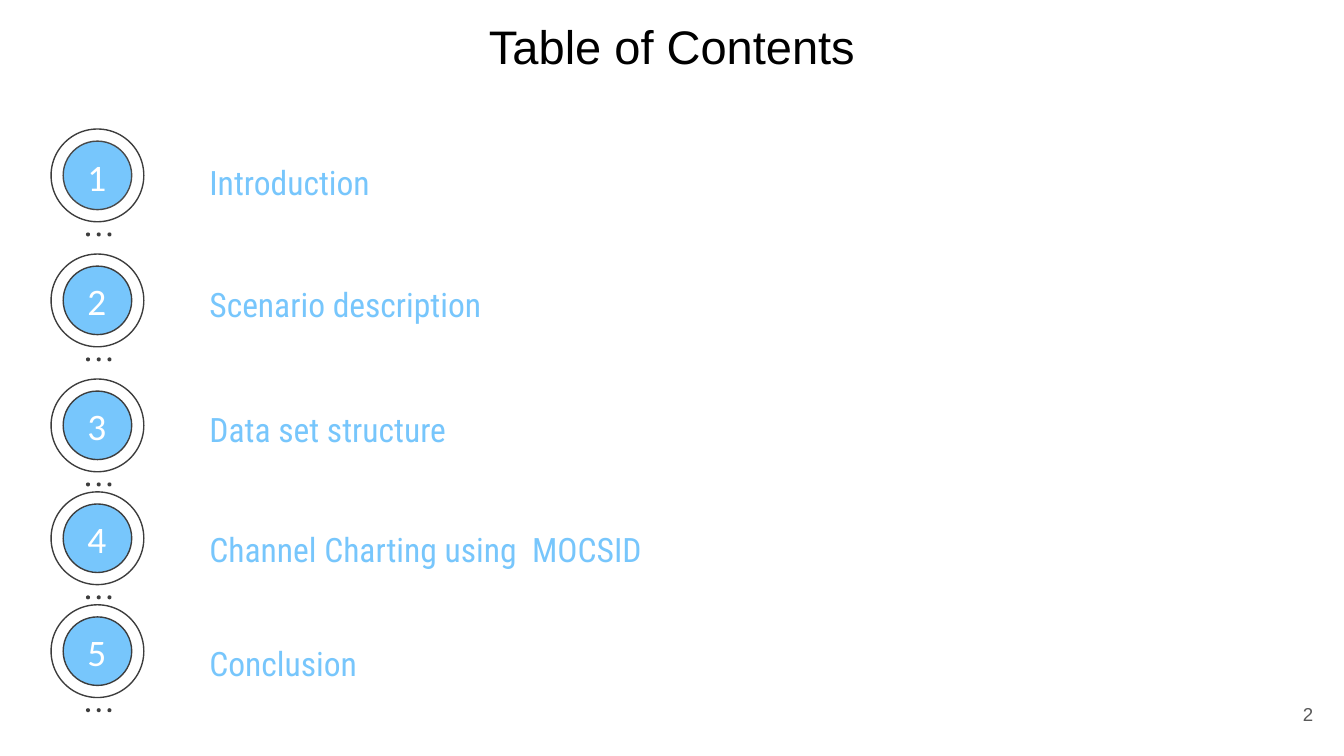
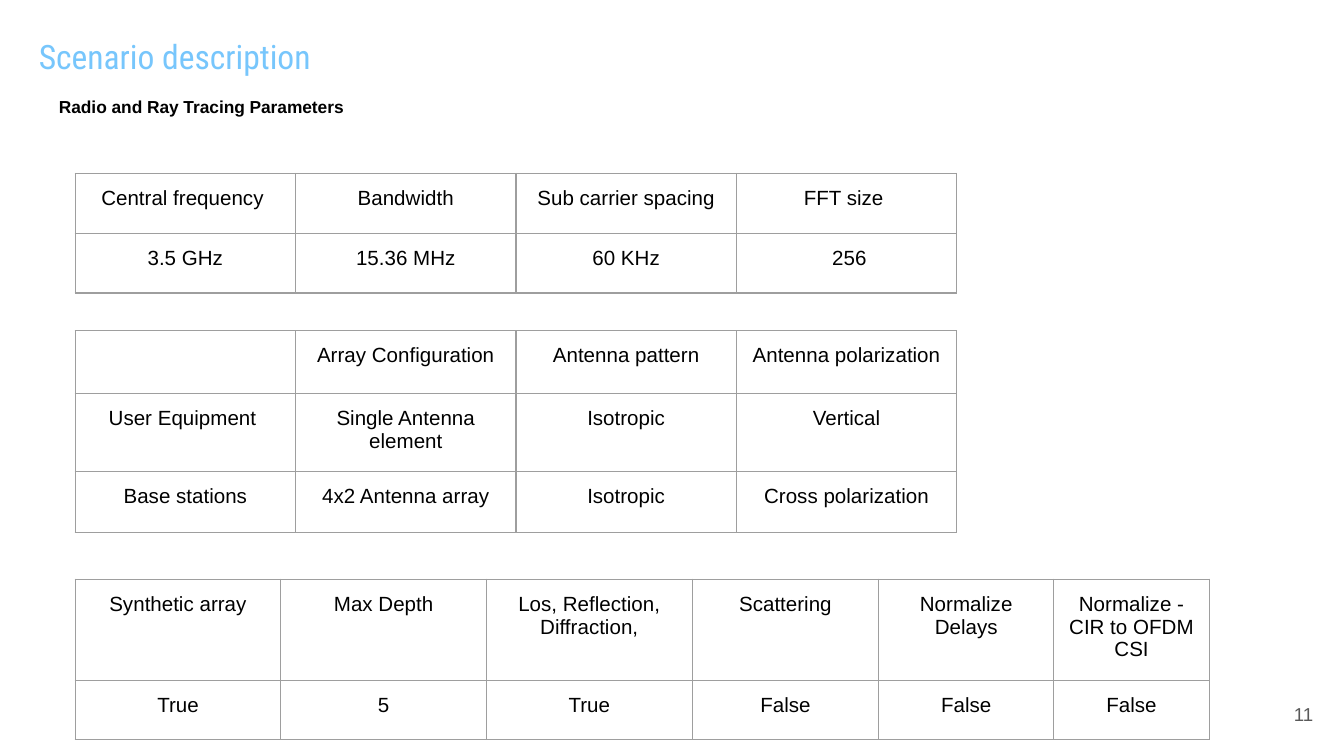
import lxml.etree
import pptx
import pptx.dml.color
import pptx.enum.shapes
import pptx.enum.text
import pptx.oxml.ns
import pptx.util

Inches = pptx.util.Inches
Pt = pptx.util.Pt
qn = pptx.oxml.ns.qn
ALIGN = pptx.enum.text.PP_ALIGN
ANCHOR = pptx.enum.text.MSO_ANCHOR

COLORS = {
    "white": "FFFFFF",
    "black": "000000",
    "sky": "77C6FC",
    "outline": "3D3D3D",
    "soft_outline": "494949",
    "border": "9E9E9E",
    "page_number": "595959",
}

STYLES = {
    "title": {"name": "Arial", "size": Pt(25.2), "color": "black"},
    "heading": {"name": "Roboto Condensed", "size": Pt(18), "color": "sky"},
    "subtitle": {"name": "Arial", "size": Pt(9.3), "bold": True, "color": "black"},
    "badge": {"name": "Calibri", "size": Pt(20), "color": "white"},
    "cell": {"name": "Arial", "size": Pt(11), "color": "black"},
    "page_number": {"name": "Arial", "size": Pt(10), "color": "page_number"},
}

CONTENTS = [
    {"text": "Introduction", "badge_top": 0.96, "text_top": 1.06, "width": 2.86, "rim": "soft_outline"},
    {"text": "Scenario description", "badge_top": 1.89, "text_top": 1.97, "width": 2.86, "rim": "outline"},
    {"text": "Data set structure", "badge_top": 2.82, "text_top": 2.9, "width": 2.86, "rim": "outline"},
    {"text": "Channel Charting using  MOCSID", "badge_top": 3.66, "text_top": 3.79, "width": 4.24, "rim": "outline"},
    {"text": "Conclusion", "badge_top": 4.5, "text_top": 4.64, "width": 4.13, "rim": "outline"},
]

TABLES = [
    {
        "top": 1.29,
        "height": 0.89,
        "columns": [1.64] * 4,
        "rows": [0.45, 0.44],
        "cells": [
            ["Central frequency ", "Bandwidth", "Sub carrier spacing", "FFT size "],
            ["3.5 GHz", "15.36 MHz", "60 KHz", " 256"],
        ],
    },
    {
        "top": 4.31,
        "height": 1.19,
        "columns": [1.53, 1.53, 1.53, 1.39, 1.3, 1.16],
        "rows": [0.61, 0.44],
        "cells": [
            ["Synthetic array", "Max Depth", "Los, Reflection, Diffraction,", "Scattering",
             "Normalize Delays", "Normalize - CIR to OFDM CSI"],
            ["True", "5", "True", "False", "False", "False"],
        ],
    },
    {
        "top": 2.46,
        "height": 1.67,
        "columns": [1.64] * 4,
        "rows": [0.47, 0.58, 0.45],
        "cells": [
            ["", "Array Configuration", "Antenna pattern", "Antenna polarization"],
            ["User Equipment ", "Single Antenna element", "Isotropic", "Vertical"],
            ["Base stations", "4x2 Antenna array", "Isotropic", "Cross polarization"],
        ],
    },
]

BADGE_LEFT = 0.38
RING_SIZE = 0.69
DISC_SIZE = 0.51
DISC_INSET = (RING_SIZE - DISC_SIZE) / 2
DOT_SIZE = 0.03
DOT_STEP = 0.08
MARGIN = Inches(0.1)


def rgb(name):
    return pptx.dml.color.RGBColor.from_string(COLORS[name])


def write(paragraph, text, style, **layout):
    for key, value in layout.items():
        setattr(paragraph, key, value)
    span = paragraph.add_run()
    span.text = text
    for key, value in STYLES[style].items():
        if key == "color":
            span.font.color.rgb = rgb(value)
        else:
            setattr(span.font, key, value)


def add_text(page, text, style, place, anchor=ANCHOR.TOP, **layout):
    box = page.shapes.add_textbox(*map(Inches, place))
    frame = box.text_frame
    frame_format = {
        "word_wrap": True,
        "vertical_anchor": anchor,
        "margin_left": MARGIN,
        "margin_right": MARGIN,
        "margin_top": MARGIN,
        "margin_bottom": MARGIN,
    }
    for key, value in frame_format.items():
        setattr(frame, key, value)
    write(frame.paragraphs[0], text, style, **layout)


def add_heading(page, text, left, top, width):
    add_text(page, text, "heading", (left, top, width, 0.42), line_spacing=1.15)


def add_page_number(page, number):
    add_text(page, str(number), "page_number", (9.27, 5.1, 0.6, 0.43),
             ANCHOR.MIDDLE, alignment=ALIGN.RIGHT)


def add_circle(group, left, top, size, fill, line=None):
    circle = group.shapes.add_shape(
        pptx.enum.shapes.MSO_SHAPE.OVAL, *map(Inches, (left, top, size, size)))
    circle.shadow.inherit = False
    circle.fill.solid()
    circle.fill.fore_color.rgb = rgb(fill)
    if line:
        circle.line.color.rgb = rgb(line)
        circle.line.width = Pt(0.75)
    else:
        circle.line.fill.background()


def add_badge(page, number, top, rim):
    group = page.shapes.add_group_shape()
    add_circle(group, BADGE_LEFT, top, RING_SIZE, "white", "outline")
    add_circle(group, BADGE_LEFT + DISC_INSET, top + DISC_INSET, DISC_SIZE, "sky", rim)
    for dot in range(3):
        add_circle(group, BADGE_LEFT + 0.26 + dot * DOT_STEP, top + 0.77, DOT_SIZE, "outline")
    add_text(page, str(number), "badge", (BADGE_LEFT + 0.09, top + 0.16, 0.5, 0.38),
             ANCHOR.MIDDLE, alignment=ALIGN.CENTER)


def add_borders(cell):
    properties = cell._tc.get_or_add_tcPr()
    for index, side in enumerate(("a:lnL", "a:lnR", "a:lnT", "a:lnB")):
        line = lxml.etree.Element(qn(side), w=str(Pt(0.75)))
        fill = lxml.etree.SubElement(line, qn("a:solidFill"))
        lxml.etree.SubElement(fill, qn("a:srgbClr"), val=COLORS["border"])
        properties.insert(index, line)


def fill_cell(cell, text):
    cell.fill.background()
    for side in ("left", "right", "top", "bottom"):
        setattr(cell, f"margin_{side}", MARGIN)
    paragraph = cell.text_frame.paragraphs[0]
    if text:
        write(paragraph, text, "cell", alignment=ALIGN.CENTER)
    else:
        lxml.etree.SubElement(paragraph._p, qn("a:endParaRPr"), sz="1100")
    add_borders(cell)


def add_parameter_table(page, content):
    columns, rows = content["columns"], content["rows"]
    place = (0.56, content["top"], sum(columns), content["height"])
    holder = page.shapes.add_table(len(rows), len(columns), *map(Inches, place))
    table = holder.table
    table.first_row = False
    table.horz_banding = False
    for column, width in zip(table.columns, columns):
        column.width = Inches(width)
    for row, height, texts in zip(table.rows, rows, content["cells"]):
        row.height = Inches(height)
        for cell, text in zip(row.cells, texts):
            fill_cell(cell, text)
    holder.height = Inches(content["height"])


def build_contents(page):
    add_text(page, "Table of Contents", "title", (0.34, 0.03, 9.32, 0.63),
             alignment=ALIGN.CENTER)
    for number, item in enumerate(CONTENTS, 1):
        add_badge(page, number, item["badge_top"], item["rim"])
        add_heading(page, item["text"], 1.46, item["text_top"], item["width"])


def build_scenario(page):
    add_heading(page, "Scenario description", 0.19, 0.12, 4.95)
    for content in TABLES:
        add_parameter_table(page, content)
    add_text(page, "Radio and Ray Tracing Parameters", "subtitle", (0.34, 0.65, 9.32, 0.52),
             line_spacing=0.95, space_after=Pt(12))


def main():
    deck = pptx.Presentation()
    deck.slide_width = Inches(10)
    deck.slide_height = deck.slide_width * 9 // 16
    for number, build in ((2, build_contents), (11, build_scenario)):
        page = deck.slides.add_slide(deck.slide_layouts[6])
        build(page)
        add_page_number(page, number)
    deck.save("out.pptx")


if __name__ == "__main__":
    main()
